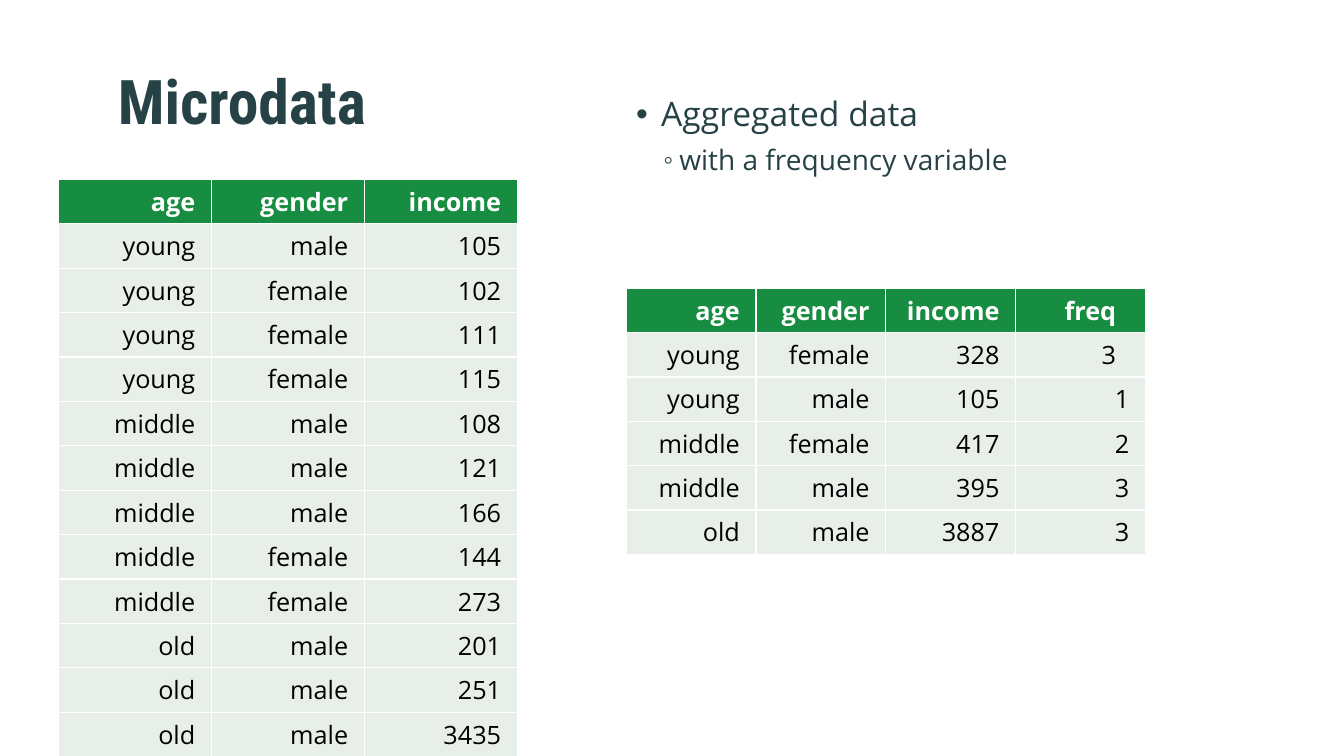
from lxml.etree import SubElement
from pptx import Presentation
from pptx.dml.color import RGBColor as RGB
from pptx.enum.text import MSO_ANCHOR as Anchor, PP_ALIGN as Align
from pptx.oxml.ns import qn
from pptx.util import Inches, Pt

COLORS = {"ink": "274247", "head": "178D41", "body": "E8EFE9",
          "white": "FFFFFF", "black": "000000"}
MICRO = """age gender income
young male 105
young female 102
young female 111
young female 115
middle male 108
middle male 121
middle male 166
middle female 144
middle female 273
old male 201
old male 251
old male 3435"""
TOTALS = """age gender income freq
young female 328 3
young male 105 1
middle female 417 2
middle male 395 3
old male 3887 3"""
ROW = 0.44


def style(para, size, color, face="Open Sans", bold=False):
    """Set the font of a whole paragraph."""
    font = para.font
    font.size, font.name, font.bold = Pt(size), face, bold
    font.color.rgb = RGB.from_string(COLORS[color])


def add_title(slide, text):
    """Place and format the slide title."""
    title = slide.shapes.title
    title.left, title.top = Inches(1.07), Inches(0.35)
    title.width, title.height = Inches(10.56), Inches(1.43)
    frame = title.text_frame
    frame.text = text
    frame.vertical_anchor = Anchor.MIDDLE
    frame.margin_top = 0
    para = frame.paragraphs[0]
    para.alignment, para.line_spacing = Align.LEFT, 0.9
    style(para, 44, "ink", "Roboto Condensed", True)


def add_list(slide, items):
    """Add a bulleted list of text, size, level, mark, indent, hang and gap."""
    box = slide.shapes.add_textbox(Inches(6.21), Inches(0.92), Inches(4.78), Inches(1.32))
    frame = box.text_frame
    frame.word_wrap = True
    for i, (text, size, level, mark, indent, hang, gap) in enumerate(items):
        para = frame.add_paragraph() if i else frame.paragraphs[0]
        para.text, para.level = text, level
        para.line_spacing, para.space_after = 0.9, Pt(gap)
        style(para, size, "ink")
        props = para._p.get_or_add_pPr()
        props.set("marL", str(Inches(indent)))
        props.set("indent", str(-Inches(hang)))
        SubElement(props, qn("a:buFont"), typeface="Arial")
        SubElement(props, qn("a:buChar"), char=mark)


def add_edges(cell):
    """Draw thin white borders round a cell."""
    props = cell._tc.get_or_add_tcPr()
    for i, side in enumerate(("lnL", "lnR", "lnT", "lnB")):
        line = SubElement(props, qn("a:" + side), w=str(Pt(1)))
        fill = SubElement(line, qn("a:solidFill"))
        SubElement(fill, qn("a:srgbClr"), val=COLORS["white"])
        props.remove(line)
        props.insert(i, line)


def fill_cell(cell, text, head):
    """Write and format one right-aligned cell."""
    cell.text = text
    cell.vertical_anchor = Anchor.MIDDLE
    cell.margin_left = cell.margin_right = Inches(0.16)
    cell.fill.solid()
    cell.fill.fore_color.rgb = RGB.from_string(COLORS["head" if head else "body"])
    para = cell.text_frame.paragraphs[0]
    para.alignment = Align.RIGHT
    style(para, 18, "white" if head else "black", bold=head)
    add_edges(cell)


def add_grid(slide, data, left, top, width):
    """Add a table with equal columns and rows."""
    rows = [line.split() for line in data.splitlines()]
    frame = slide.shapes.add_table(len(rows), len(rows[0]), Inches(left), Inches(top),
                                   Inches(width), Inches(ROW * len(rows)))
    table = frame.table
    for r, row in enumerate(rows):
        for c, text in enumerate(row):
            fill_cell(table.cell(r, c), text, r == 0)
    return table


def main():
    """Build and save the slide."""
    deck = Presentation()
    deck.slide_width, deck.slide_height = Inches(13.33), Inches(7.5)
    slide = deck.slides.add_slide(deck.slide_layouts[5])
    add_title(slide, "Microdata")
    add_grid(slide, MICRO, 0.58, 1.78, 4.55)
    add_list(slide, [
        ("Aggregated data", 24, 0, "•", 0.25, 0.25, 9),
        ("with a frequency variable", 20, 1, "◦", 0.43, 0.16, 6),
    ])
    totals = add_grid(slide, TOTALS, 6.21, 2.86, 5.15)
    for r in range(2):
        totals.cell(r, 3).margin_right = Inches(0.29)
    deck.save("out.pptx")


if __name__ == "__main__":
    main()
